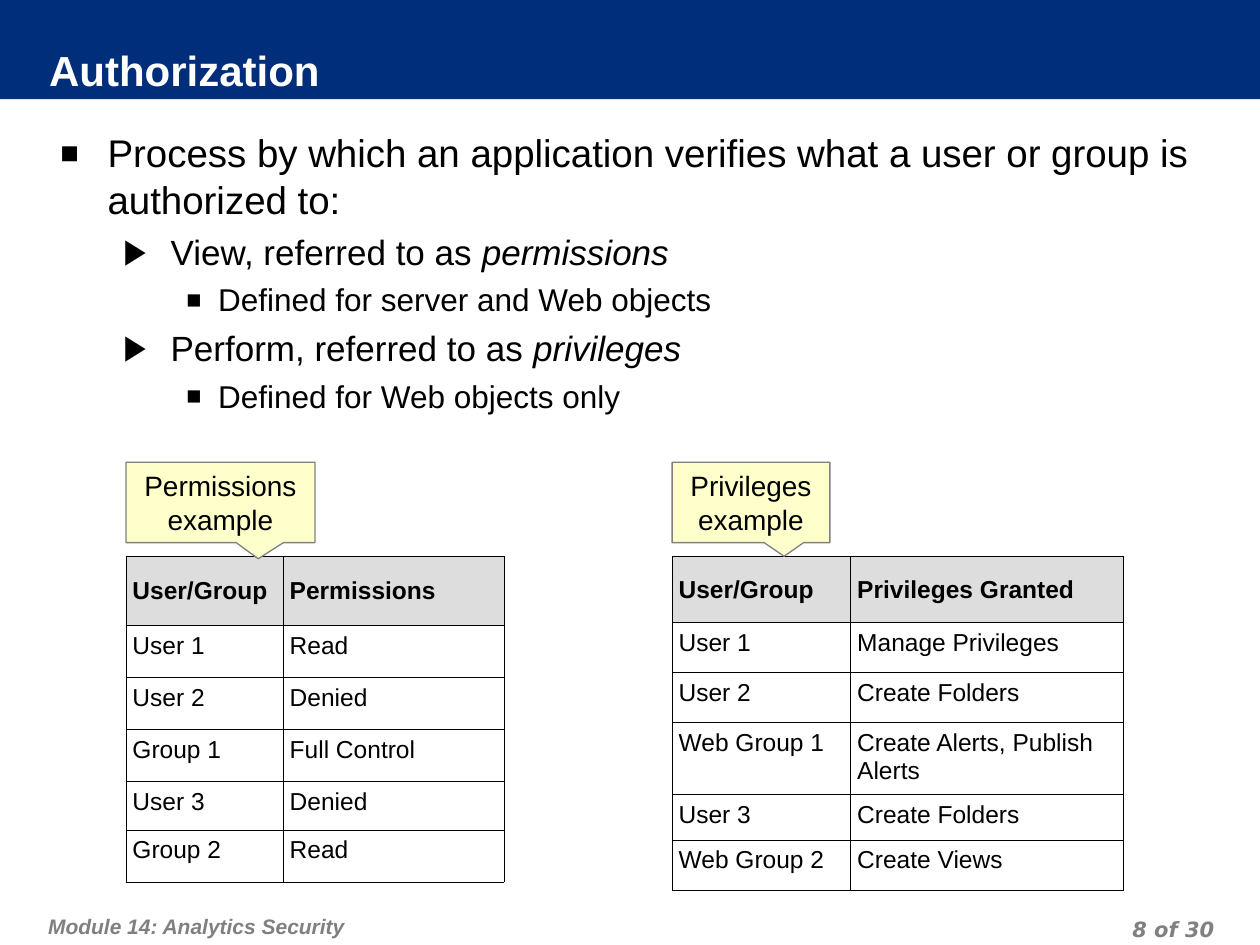
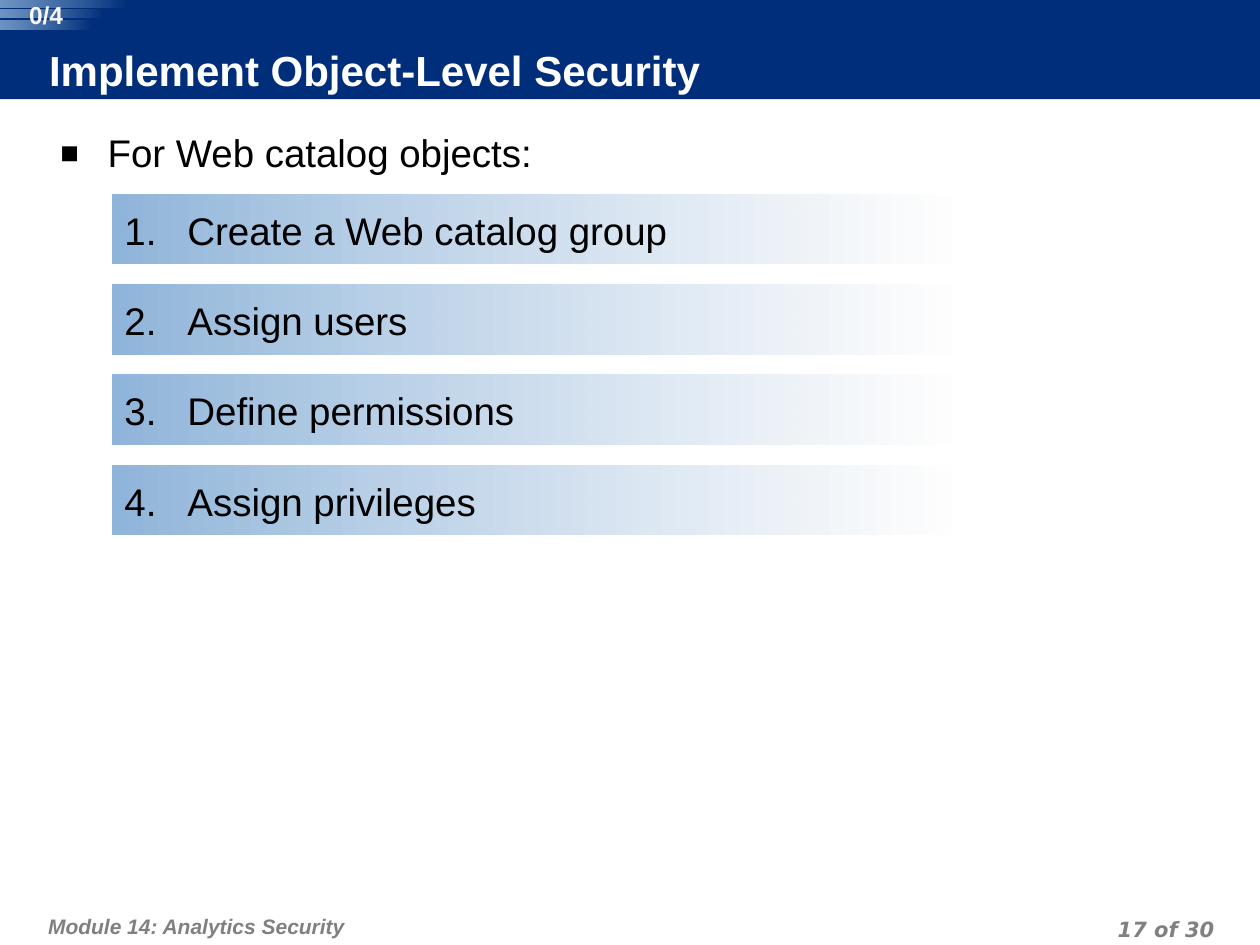
from dataclasses import dataclass

from lxml import etree
from pptx import Presentation
from pptx.dml.color import RGBColor
from pptx.enum.shapes import MSO_SHAPE
from pptx.enum.text import MSO_ANCHOR, PP_ALIGN
from pptx.oxml.ns import qn
from pptx.util import Cm, Pt

NAVY = RGBColor(0x00, 0x2E, 0x7A)
SKY = RGBColor(0x90, 0xB5, 0xDA)
CREAM = RGBColor(0xFF, 0xFF, 0xCC)
GREY = RGBColor(0x80, 0x80, 0x80)
SILVER = RGBColor(0xDD, 0xDD, 0xDD)
BLACK = RGBColor(0x00, 0x00, 0x00)
WHITE = RGBColor(0xFF, 0xFF, 0xFF)
MIST = RGBColor(0xFE, 0xFE, 0xFE)
CHALK = RGBColor(0xF8, 0xF8, 0xF8)

RECT = MSO_SHAPE.RECTANGLE
CALLOUT = MSO_SHAPE.RECTANGULAR_CALLOUT
TOP, MIDDLE = MSO_ANCHOR.TOP, MSO_ANCHOR.MIDDLE
LEFT, CENTER, RIGHT = PP_ALIGN.LEFT, PP_ALIGN.CENTER, PP_ALIGN.RIGHT

WIDTH, HEIGHT = 25.4, 19.05
BODY_PAD = (0.25, 0.25, 0.25, 0.13)


@dataclass
class Box:
    left: float
    top: float
    width: float
    height: float


@dataclass
class Style:
    size: float
    color: RGBColor = BLACK
    bold: bool = False
    italic: bool = False
    face: str = "Arial"


@dataclass
class Level:
    mark: str
    scale: int
    margin: float
    hang: float
    size: float
    before: float


@dataclass
class Item:
    level: int
    text: str
    term: str = ""


@dataclass
class Grid:
    left: float
    cols: list[float]
    rows: list[float]
    cells: list[tuple[str, str]]
    label: str
    label_width: float
    tip: tuple[float, float]


@dataclass
class Bar:
    top: float
    width: float
    height: float


LEVELS = [
    Level("■", 80, 0.95, 0.95, 22, 5.5),
    Level("▶", 100, 2.22, 0.95, 20, 5),
    Level("■", 80, 3.18, 0.64, 18, 4.5),
]

POINTS = [
    Item(0, "Process by which an application verifies what a user or group "
            "is authorized to:"),
    Item(1, "View, referred to as ", "permissions"),
    Item(2, "Defined for server and Web objects"),
    Item(1, "Perform, referred to as ", "privileges"),
    Item(2, "Defined for Web objects only"),
]

GRIDS = [
    Grid(2.54, [3.17, 4.45], [1.39, 1.05, 1.05, 1.05, 0.97, 1.05],
         [("User/Group", "Permissions"), ("User 1", "Read"),
          ("User 2", "Denied"), ("Group 1", "Full Control"),
          ("User 3", "Denied"), ("Group 2", "Read")],
         "Permissions example", 3.81, (0.2, 0.7)),
    Grid(13.55, [3.6, 5.5], [1.33, 1.01, 1.01, 1.36, 0.92, 1.01],
         [("User/Group", "Privileges Granted"), ("User 1", "Manage Privileges"),
          ("User 2", "Create Folders"),
          ("Web Group 1", "Create Alerts, Publish Alerts"),
          ("User 3", "Create Folders"), ("Web Group 2", "Create Views")],
         "Privileges example", 3.18, (0.21, 0.67)),
]

STEPS = ["Create a Web catalog group", "Assign users", "Define permissions",
         "Assign privileges"]

BARS = [Bar(0, 2.57, 0.15), Bar(0.2, 2.08, 0.15), Bar(0.41, 1.85, 0.18)]


def place(box: Box) -> list:
    return [Cm(v) for v in (box.left, box.top, box.width, box.height)]


def set_font(par, style: Style) -> None:
    font = par.font
    font.name, font.size = style.face, Pt(style.size)
    font.bold, font.italic = style.bold, style.italic
    font.color.rgb = style.color


def set_frame(frame, pad: tuple = (0, 0, 0, 0), anchor=TOP) -> None:
    frame.word_wrap = True
    frame.vertical_anchor = anchor
    (frame.margin_left, frame.margin_top,
     frame.margin_right, frame.margin_bottom) = [Cm(v) for v in pad]


def write(frame, text: str, style: Style, align=LEFT):
    par = frame.paragraphs[0]
    par.text, par.alignment = text, align
    set_font(par, style)
    return par


def add_text(slide, box: Box, text: str, style: Style, align=LEFT,
             pad: tuple = (0, 0, 0, 0), anchor=TOP):
    frame = slide.shapes.add_textbox(*place(box)).text_frame
    set_frame(frame, pad, anchor)
    return write(frame, text, style, align)


def add_shape(slide, box: Box, kind=RECT):
    shape = slide.shapes.add_shape(kind, *place(box))
    shape.shadow.inherit = False
    shape.line.fill.background()
    return shape


def fade(shape, start: RGBColor, end: RGBColor, alphas: tuple) -> None:
    """Gradient running from right to left, with an opacity for each end."""
    shape.fill.gradient()
    shape.fill.gradient_angle = 180
    for stop, color in zip(shape.fill.gradient_stops, (start, end)):
        stop.color.rgb = color
    for node, alpha in zip(shape._element.spPr.iter(qn("a:srgbClr")), alphas):
        etree.SubElement(node, qn("a:alpha"), val=str(alpha * 1000))


def add_mark(par, margin: float, hang: float, scale: int, tag: str, **attrs) -> None:
    """Give a paragraph a hanging indent and a bullet or number."""
    props = par._p.get_or_add_pPr()
    props.set("marL", str(Cm(margin)))
    props.set("indent", str(-Cm(hang)))
    color = etree.SubElement(props, qn("a:buClr"))
    etree.SubElement(color, qn("a:srgbClr"), val=str(BLACK))
    etree.SubElement(props, qn("a:buSzPct"), val=str(scale * 1000))
    etree.SubElement(props, qn("a:buFont"), typeface="Arial")
    etree.SubElement(props, qn(tag), **attrs)


def add_body(slide, items: list[Item]) -> None:
    frame = slide.shapes.add_textbox(*place(Box(0.97, 2.36, 23.62, 15.7))).text_frame
    set_frame(frame, BODY_PAD)
    for pos, item in enumerate(items):
        par = frame.add_paragraph() if pos else frame.paragraphs[0]
        level = LEVELS[item.level]
        add_mark(par, level.margin, level.hang, level.scale, "a:buChar",
                 char=level.mark)
        if pos:
            par.space_before = Pt(level.before)
        set_font(par, Style(level.size))
        par.add_run().text = item.text
        if item.term:
            run = par.add_run()
            run.text, run.font.italic = item.term, True


def add_edges(cell) -> None:
    props = cell._tc.get_or_add_tcPr()
    for side in ("a:lnL", "a:lnR", "a:lnT", "a:lnB"):
        line = etree.SubElement(props, qn(side), w=str(Pt(0.45)))
        fill = etree.SubElement(line, qn("a:solidFill"))
        etree.SubElement(fill, qn("a:srgbClr"), val=str(BLACK))


def add_grid(slide, grid: Grid) -> None:
    box = Box(grid.left, 11.22, sum(grid.cols), sum(grid.rows))
    table = slide.shapes.add_table(len(grid.rows), len(grid.cols),
                                   *place(box)).table
    table.first_row = table.horz_banding = False
    for col, width in zip(table.columns, grid.cols):
        col.width = Cm(width)
    for num, (row, height) in enumerate(zip(table.rows, grid.rows)):
        row.height = Cm(height)
        head = num == 0
        for cell, text in zip(row.cells, grid.cells[num]):
            add_edges(cell)
            cell.fill.solid()
            cell.fill.fore_color.rgb = SILVER if head else WHITE
            cell.margin_left = cell.margin_top = cell.margin_bottom = Cm(0.13)
            cell.margin_right = Cm(0.05)
            cell.vertical_anchor = MIDDLE if head else TOP
            write(cell.text_frame, text, Style(14, bold=head))


def add_label(slide, grid: Grid) -> None:
    shape = add_shape(slide, Box(grid.left, 9.32, grid.label_width, 1.62), CALLOUT)
    shape.adjustments[0], shape.adjustments[1] = grid.tip
    shape.fill.solid()
    shape.fill.fore_color.rgb = CREAM
    shape.line.color.rgb, shape.line.width = GREY, Pt(0.75)
    set_frame(shape.text_frame, (0.25, 0.13, 0.25, 0.13))
    write(shape.text_frame, grid.label, Style(16), CENTER)


def add_step(slide, num: int, text: str) -> None:
    shape = add_shape(slide, Box(2.26, 3.92 + 1.82 * num, 16.92, 1.4))
    fade(shape, MIST, SKY, (75, 100))
    set_frame(shape.text_frame, BODY_PAD)
    add_mark(shape.text_frame.paragraphs[0], 1.27, 1.27, 100, "a:buAutoNum",
             type="arabicPeriod", startAt=str(num + 1))
    write(shape.text_frame, text, Style(22))


def add_count(slide, text: str) -> None:
    for bar in BARS:
        shape = add_shape(slide, Box(0, bar.top, bar.width, bar.height))
        fade(shape, NAVY, SKY, (100, 76))
    add_text(slide, Box(0.28, 0, 1.3, 0.58), text, Style(14, CHALK, bold=True), CENTER)


def add_slide(deck, title: str, page: int):
    """Blank slide with the title band and both footers."""
    slide = deck.slides.add_slide(deck.slide_layouts[6])
    band = add_shape(slide, Box(0, 0, WIDTH, 2))
    band.fill.solid()
    band.fill.fore_color.rgb = NAVY
    foot = add_text(slide, Box(0.84, 18.03, 15.7, 1.02), "Module 14: Analytics Security",
                    Style(12, GREY, True, True), pad=(0.13, 0.25, 0.13, 0.13))
    count = add_text(slide, Box(18.69, 18.34, 5.92, 0.64), f"{page} of 30",
                     Style(12, GREY, True, True, "DejaVu Sans"), RIGHT,
                     (0.13, 0, 0.13, 0))
    foot.line_spacing = count.line_spacing = Pt(18)
    add_text(slide, Box(0.99, 0.97, 19.99, 1.02), title,
             Style(24, WHITE, bold=True), pad=(0, 0, 0.13, 0.13), anchor=MIDDLE)
    return slide


def main() -> None:
    deck = Presentation()
    deck.slide_width, deck.slide_height = Cm(WIDTH), Cm(HEIGHT)

    # Authorization: bullets above two example tables
    slide = add_slide(deck, "Authorization", 8)
    add_body(slide, POINTS)
    for grid in GRIDS:
        add_grid(slide, grid)
    for grid in GRIDS:
        add_label(slide, grid)

    # Object-level security: numbered steps
    slide = add_slide(deck, "Implement Object-Level Security", 17)
    add_body(slide, [Item(0, "For Web catalog objects:")])
    for num, text in enumerate(STEPS):
        add_step(slide, num, text)
    add_count(slide, "0/4")

    deck.save("out.pptx")


if __name__ == "__main__":
    main()
